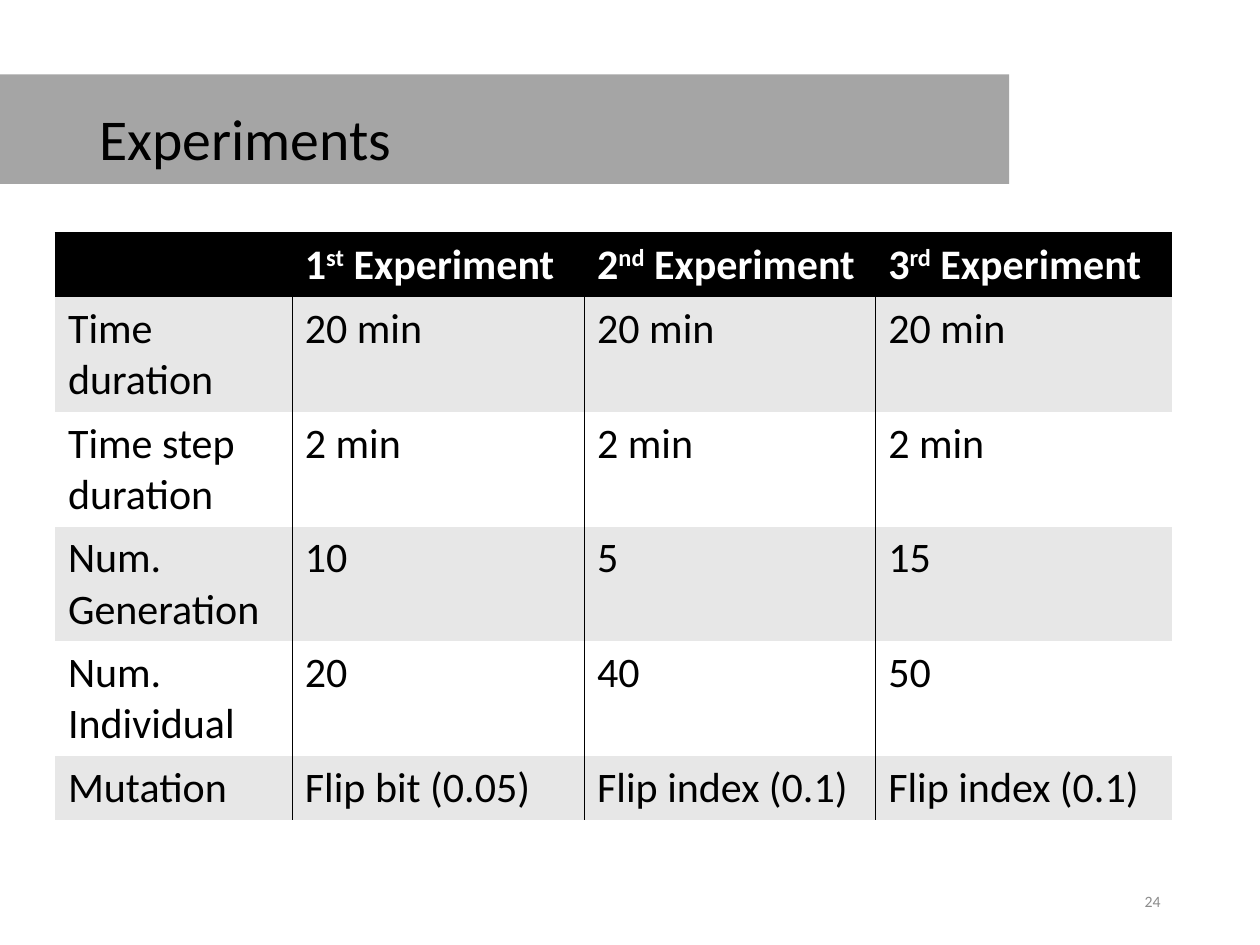
from dataclasses import dataclass
from pptx import Presentation
from pptx.dml.color import RGBColor as Rgb
from pptx.enum.shapes import MSO_SHAPE as Shape
from pptx.enum.text import MSO_ANCHOR as Anchor, PP_ALIGN as Align
from pptx.oxml.ns import qn
from pptx.util import Inches, Pt
from lxml.etree import SubElement as Sub


@dataclass(frozen=True)
class Theme:
    """Colours, font and type sizes."""
    font: str = "Calibri"
    ink: str = "000000"
    paper: str = "FFFFFF"
    bar: str = "A5A5A5"
    band: str = "E7E7E7"
    muted: str = "8C8C8C"
    title: int = 33
    body: int = 24
    note: int = 9


LOOK = Theme()
HEADS = [("1", "st"), ("2", "nd"), ("3", "rd")]
ROWS = [
    ("Time duration", "20 min", "20 min", "20 min"),
    ("Time step duration", "2 min", "2 min", "2 min"),
    ("Num. Generation", "10", "5", "15"),
    ("Num. Individual", "20", "40", "50"),
    ("Mutation", "Flip bit (0.05)", "Flip index (0.1)", "Flip index (0.1)"),
]
WIDTHS = [1.88, 2.32, 2.31, 2.35]
HEIGHTS = [0.51, 0.91, 0.91, 0.91, 0.91, 0.51]


def style(run, size, color, bold=False):
    """Format one run."""
    font = run.font
    font.name, font.size, font.bold = LOOK.font, Pt(size), bold
    font.color.rgb = Rgb.from_string(color)


def paint(item, color):
    """Give a shape or cell a solid fill."""
    item.fill.solid()
    item.fill.fore_color.rgb = Rgb.from_string(color)


def label(slide, box, text, size, color, align=Align.LEFT, gap=1.0):
    """Add a one-line text box, centred vertically."""
    frame = slide.shapes.add_textbox(*map(Inches, box)).text_frame
    frame.word_wrap = True
    frame.vertical_anchor = Anchor.MIDDLE
    frame.text = text
    para = frame.paragraphs[0]
    para.alignment, para.line_spacing = align, gap
    style(para.runs[0], size, color)


def header(slide, box):
    """Draw the title bar and the title over it."""
    left, top, width, height = box
    bar = slide.shapes.add_shape(Shape.RECTANGLE, *map(Inches, box))
    bar.shadow.inherit = False
    bar.line.fill.background()
    paint(bar, LOOK.bar)
    label(slide, (left + 0.7, top - 0.19, width + 0.6, 1.45),
          "Experiments", LOOK.title, LOOK.ink, gap=0.9)


def edge(cell, sides):
    """Draw the named cell borders and clear the others."""
    props = cell._tc.get_or_add_tcPr()
    for spot, side in enumerate("LRTB"):
        line = Sub(props, qn(f"a:ln{side}"), w=str(Pt(1)))
        if side in sides:
            fill = Sub(line, qn("a:solidFill"))
            Sub(fill, qn("a:srgbClr"), val=LOOK.ink)
        else:
            Sub(line, qn("a:noFill"))
        props.insert(spot, line)


def head(cell, col):
    """Fill a heading cell with its raised ordinal."""
    paint(cell, LOOK.ink)
    edge(cell, "LRTB")
    para = cell.text_frame.paragraphs[0]
    if not col:
        para.font.size = Pt(LOOK.body)
        return
    for text in (*HEADS[col - 1], " Experiment"):
        run = para.add_run()
        run.text = text
        style(run, LOOK.body, LOOK.paper, True)
    para.runs[1].font._element.set("baseline", "30000")


def entry(cell, row, col):
    """Fill a body cell."""
    paint(cell, LOOK.band if row % 2 else LOOK.paper)
    edge(cell, ("L" if col else "") + ("R" if col < len(WIDTHS) - 1 else ""))
    cell.text_frame.text = ROWS[row - 1][col]
    style(cell.text_frame.paragraphs[0].runs[0], LOOK.body, LOOK.ink)


def grid(slide, left, top):
    """Place the table of experiments."""
    size = (left, top, sum(WIDTHS), sum(HEIGHTS))
    table = slide.shapes.add_table(
        len(HEIGHTS), len(WIDTHS), *map(Inches, size)).table
    table.horz_banding = False
    for col, width in enumerate(WIDTHS):
        table.columns[col].width = Inches(width)
    for row, height in enumerate(HEIGHTS):
        table.rows[row].height = Inches(height)
        for col in range(len(WIDTHS)):
            cell = table.cell(row, col)
            if row:
                entry(cell, row, col)
            else:
                head(cell, col)


def main():
    """Build and save the slide."""
    deck = Presentation()
    deck.slide_width, deck.slide_height = Inches(10), Inches(7.5)
    slide = deck.slides.add_slide(deck.slide_layouts[6])
    header(slide, (-0.01, 0.59, 8.02, 0.87))
    label(slide, (7.06, 6.95, 2.25, 0.4), "24", LOOK.note, LOOK.muted,
          Align.RIGHT)
    grid(slide, 0.44, 1.85)
    deck.save("out.pptx")


main()
